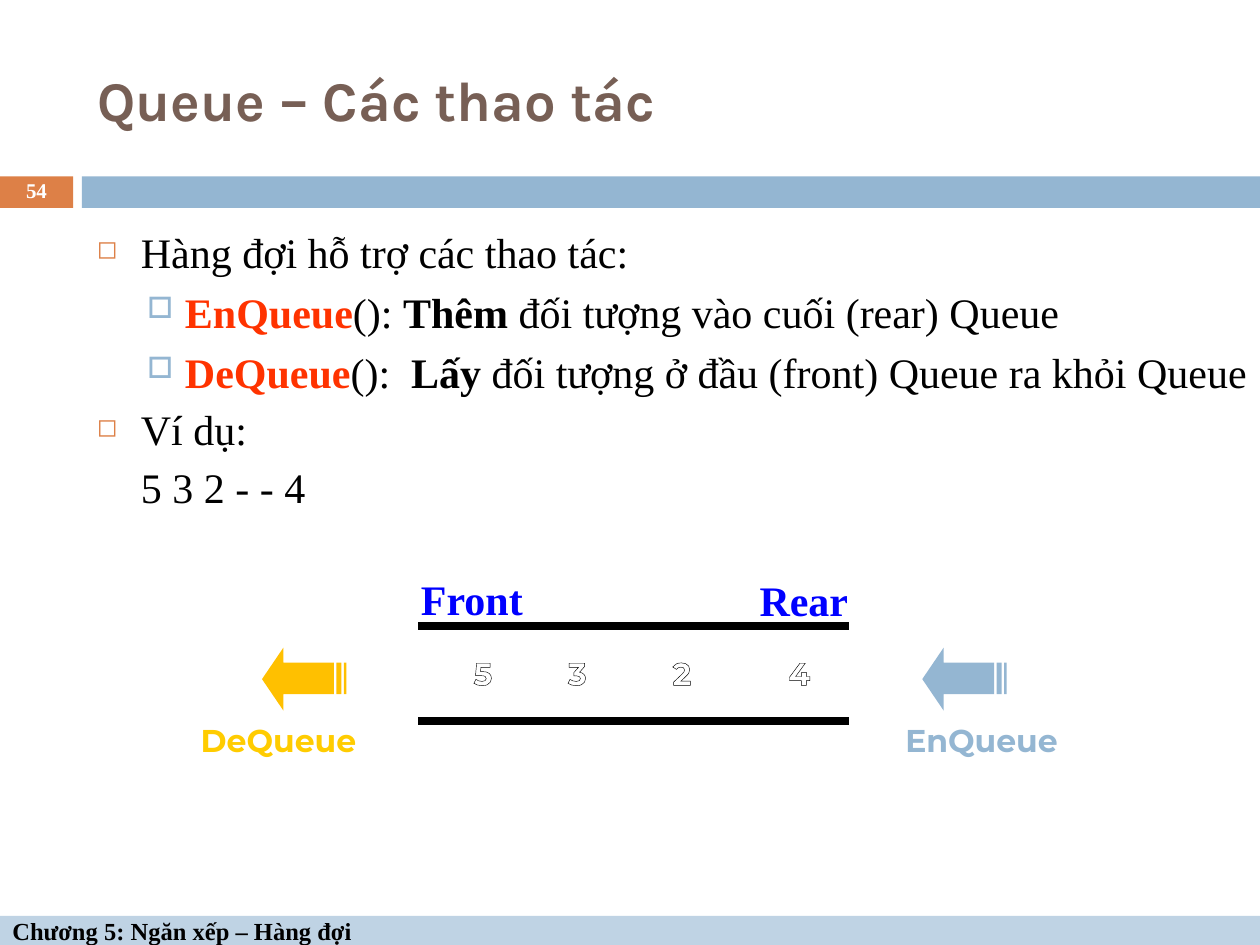
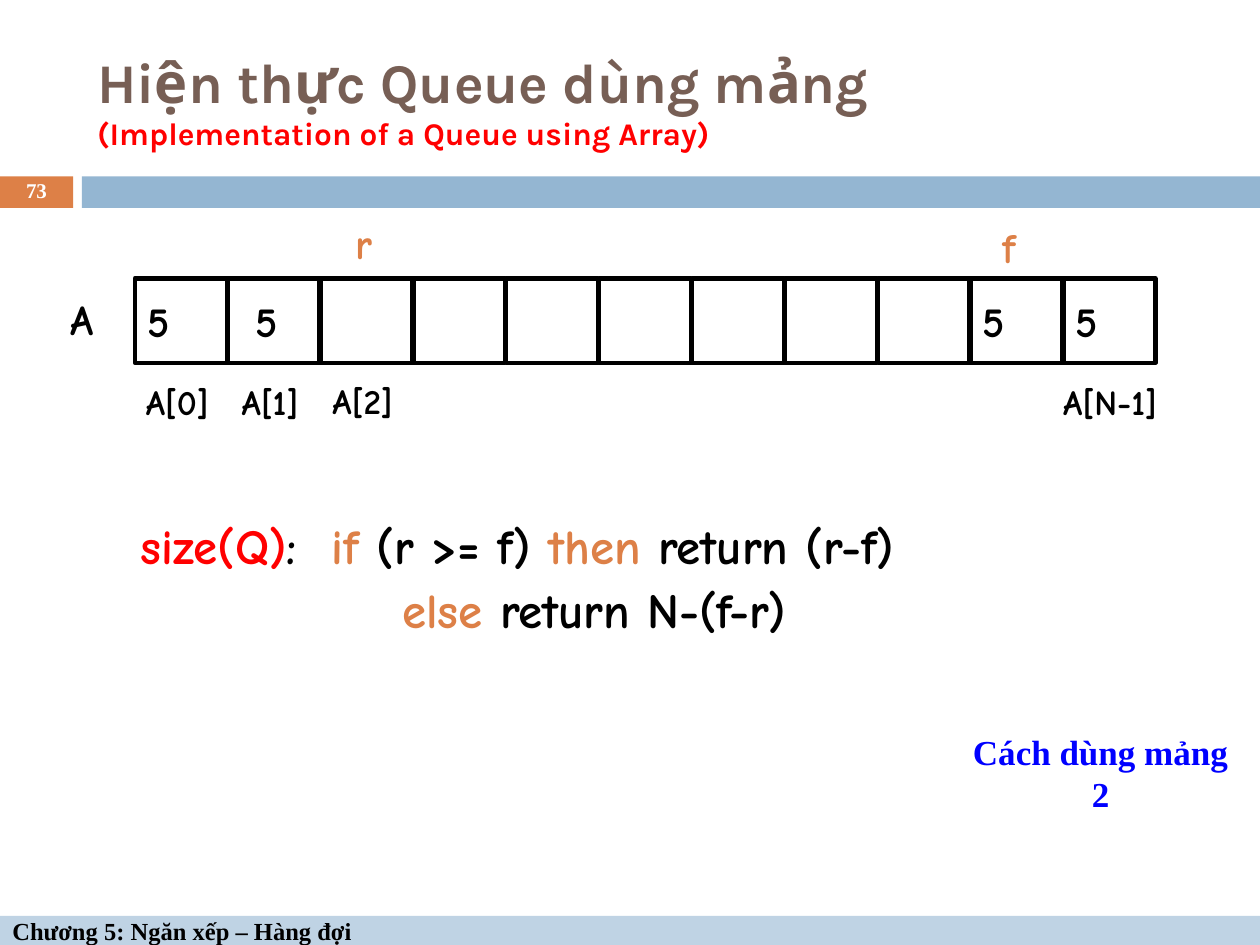
"""Build two lecture slides on queue operations and an array-based queue."""
from lxml import etree
from pptx import Presentation
from pptx.dml.color import RGBColor
from pptx.enum.shapes import MSO_CONNECTOR, MSO_SHAPE
from pptx.enum.text import MSO_ANCHOR, MSO_AUTO_SIZE, PP_ALIGN
from pptx.oxml import parse_xml
from pptx.oxml.ns import nsdecls, qn
from pptx.util import Inches, Pt

BLACK = RGBColor(0x00, 0x00, 0x00)
WHITE = RGBColor(0xFF, 0xFF, 0xFF)
BROWN = RGBColor(0x77, 0x5F, 0x55)
ORANGE = RGBColor(0xDD, 0x80, 0x47)
STEEL = RGBColor(0x94, 0xB6, 0xD2)
PALE = RGBColor(0xBF, 0xD3, 0xE4)
RED = RGBColor(0xFF, 0x00, 0x00)
VERMILION = RGBColor(0xFF, 0x33, 0x00)
BLUE = RGBColor(0x00, 0x00, 0xFF)
AMBER = RGBColor(0xFF, 0xC0, 0x00)
YELLOW = RGBColor(0xFF, 0xCC, 0x00)
SERIF, TITLE_FONT, COMIC, SANS = "Times New Roman", "Karla", "Comic Neue", "Montserrat"


def style(font, name, size, color, bold=True):
    font.name, font.size, font.bold = name, Pt(size), bold
    font.color.rgb = color


def label(slide, box, text, name, size, color, align=PP_ALIGN.LEFT, wrap=True):
    frame = slide.shapes.add_textbox(*map(Inches, box)).text_frame
    frame.word_wrap = wrap
    paragraph = frame.paragraphs[0]
    paragraph.text, paragraph.alignment = text, align
    style(paragraph.font, name, size, color)
    return paragraph


prs = Presentation()
prs.slide_width, prs.slide_height = Inches(10), Inches(7.5)

slides = []
for heading, subtitle, number in [
    ("Queue – Các thao tác", None, "54"),
    ("Hiện thực Queue dùng mảng", "(Implementation of a Queue using Array)", "73"),
]:
    slide = prs.slides.add_slide(prs.slide_layouts[5])
    slides.append(slide)
    for box, color, text in [
        ((0, 1.4, 0.58, 0.25), ORANGE, None),
        ((0.65, 1.4, 9.35, 0.25), STEEL, None),
        ((0, 7.27, 10, 0.23), PALE, "Chương 5: Ngăn xếp – Hàng đợi"),
    ]:
        band = slide.shapes.add_shape(MSO_SHAPE.RECTANGLE, *map(Inches, box))
        band.shadow.inherit = False
        band.fill.solid()
        band.fill.fore_color.rgb = color
        band.line.fill.background()
        if text:
            footer = band.text_frame.paragraphs[0]
            footer.text, footer.alignment = text, PP_ALIGN.LEFT
            style(footer.font, SERIF, 14, BLACK)

    title = slide.shapes.title
    title.left, title.top = Inches(0.67), Inches(0.25)
    title.width, title.height = Inches(8.92), Inches(1.08)
    title.text_frame.auto_size = MSO_AUTO_SIZE.NONE
    title.text_frame.vertical_anchor = MSO_ANCHOR.MIDDLE
    title_line = title.text_frame.paragraphs[0]
    title_line.alignment = PP_ALIGN.LEFT
    style(title_line.font, TITLE_FONT, 32, BROWN)
    title_line.add_run().text = heading
    if subtitle:
        title_line.add_line_break()
        subtitle_run = title_line.add_run()
        subtitle_run.text = subtitle
        style(subtitle_run.font, TITLE_FONT, 18, RED)

    page = label(slide, (0, 1.39, 0.58, 0.27), number, SERIF, 12, WHITE, PP_ALIGN.CENTER)
    page.line_spacing = 0.8
    slide.shapes[-1].text_frame.vertical_anchor = MSO_ANCHOR.MIDDLE

operations, array_queue = slides

body = operations.shapes.add_textbox(Inches(0.67), Inches(1.75), Inches(9.33), Inches(4.92)).text_frame
body.word_wrap = True
LEVELS = [(0.35, -0.35, 7, "◻", "DD8047", 60), (0.7, -0.3, 5.5, "□", "94B6D2", 70)]
body_lines = [
    (0, True, None, [("Hàng đợi hỗ trợ các thao tác:", BLACK, False)]),
    (1, True, None, [("EnQueue", VERMILION, True), ("(): ", BLACK, False), ("Thêm", BLACK, True),
                     (" đối tượng vào cuối (rear) Queue", BLACK, False)]),
    (1, True, None, [("DeQueue", VERMILION, True), ("():  ", BLACK, False), ("Lấy", BLACK, True),
                     (" đối tượng ở đầu (front) Queue ra khỏi Queue", BLACK, False)]),
    (0, True, 0.9, [("Ví dụ:", BLACK, False)]),
    (0, False, 0.9, [("5 3 2 - - 4", BLACK, False)]),
]
for index, (level, bulleted, spacing, runs) in enumerate(body_lines):
    line = body.add_paragraph() if index else body.paragraphs[0]
    margin, indent, before, bullet, bullet_color, percent = LEVELS[level]
    line.level = level
    if index:
        line.space_before = Pt(before)
    if spacing:
        line.line_spacing = spacing
    properties = line._p.get_or_add_pPr()
    properties.set("marL", str(Inches(margin)))
    properties.set("indent", str(Inches(indent if bulleted else 0)))
    if bulleted:
        for markup in [
            f'<a:buClr {nsdecls("a")}><a:srgbClr val="{bullet_color}"/></a:buClr>',
            f'<a:buSzPct {nsdecls("a")} val="{percent * 1000}"/>',
            f'<a:buChar {nsdecls("a")} char="{bullet}"/>',
        ]:
            properties.append(parse_xml(markup))
    line.font.name, line.font.size = SERIF, Pt(24)
    for text, color, bold in runs:
        run = line.add_run()
        run.text, run.font.bold = text, bold
        run.font.color.rgb = color

for y in (4.97, 5.72):
    rail = operations.shapes.add_connector(
        MSO_CONNECTOR.STRAIGHT, Inches(3.32), Inches(y), Inches(6.74), Inches(y))
    rail.line.color.rgb, rail.line.width = BLACK, Pt(4.5)
    etree.SubElement(rail._element.spPr, qn("a:effectLst"))

for text, box in [("Front", (3.24, 4.5, 1.01, 0.5)), ("Rear", (5.93, 4.51, 0.9, 0.5))]:
    label(operations, box, text, SERIF, 24, BLUE, PP_ALIGN.CENTER, False)

for text, box, color in [
    ("5", (3.66, 5.14, 0.25, 0.46), WHITE),
    ("3", (4.41, 5.14, 0.25, 0.46), WHITE),
    ("2", (5.24, 5.14, 0.25, 0.46), WHITE),
    ("4", (6.16, 5.14, 0.25, 0.46), WHITE),
    ("EnQueue", (7, 5.67, 1.58, 0.42), STEEL),
    ("DeQueue", (1.42, 5.67, 1.58, 0.42), YELLOW),
]:
    outlined = label(operations, box, text, SANS, 18, color, PP_ALIGN.CENTER, False).runs[0]
    style(outlined.font, SANS, 18, color)
    outlined._r.get_or_add_rPr().insert(0, parse_xml(
        f'<a:ln {nsdecls("a")} w="{Pt(0.75)}"><a:solidFill><a:srgbClr val="000000"/></a:solidFill></a:ln>'))

ARROW_HEAD = [(17, 50), (17, 37), (57, 37), (57, 12), (17, 12), (17, 0), (0, 25)]
STRIPES = [[(a, 12), (b, 12), (b, 37), (a, 37)] for a, b in ((59, 63), (65, 67))]
for left, color in ((732, STEEL), (208, AMBER)):
    builder = operations.shapes.build_freeform(left + 17, 514 + 50, scale=Inches(0.01))
    for part in [ARROW_HEAD, *STRIPES]:
        points = [(left + x, 514 + y) for x, y in part]
        if part is not ARROW_HEAD:
            builder.move_to(*points[0])
        builder.add_line_segments(points[1:], close=True)
    arrow = builder.convert_to_shape()
    arrow.shadow.inherit = False
    arrow.fill.solid()
    arrow.fill.fore_color.rgb = color
    arrow.line.fill.background()

FIRST_CELL, LAST_CELL, CELLS = 1.07, 8.44, 11
pitch = (LAST_CELL - FIRST_CELL) / (CELLS - 1)
cell_insets = {0: 0.1, 1: 0.22, 9: 0.1, 10: 0.1}
for index in range(CELLS):
    cell = array_queue.shapes.add_shape(
        MSO_SHAPE.RECTANGLE, Inches(FIRST_CELL + index * pitch), Inches(2.21), Inches(0.73), Inches(0.67))
    cell.shadow.inherit = False
    cell.fill.background()
    cell.line.color.rgb, cell.line.width = BLACK, Pt(2.5)
    if index in cell_insets:
        cell.text_frame.margin_left = Inches(cell_insets[index])
        value = cell.text_frame.paragraphs[0]
        value.text, value.alignment = "5", PP_ALIGN.LEFT
        style(value.font, COMIC, 24, BLACK)

for text, box, size, color in [
    ("A", (0.46, 2.28, 0.76, 0.5), 24, BLACK),
    ("r", (2.72, 1.68, 0.72, 0.5), 24, ORANGE),
    ("f", (7.86, 1.71, 0.72, 0.5), 24, ORANGE),
    ("A[0]", (1.06, 2.97, 1.03, 0.44), 20, BLACK),
    ("A[1]", (1.82, 2.97, 0.93, 0.44), 20, BLACK),
    ("A[2]", (2.54, 2.96, 0.88, 0.44), 20, BLACK),
    ("A[N-1]", (8.34, 2.97, 1.54, 0.44), 20, BLACK),
]:
    label(array_queue, box, text, COMIC, size, color)

code = array_queue.shapes.add_textbox(Inches(1.02), Inches(4.04), Inches(7.98), Inches(1.05)).text_frame
code.word_wrap = True
code_lines = [
    [("size(Q)", RED), (":  ", BLACK), ("if", ORANGE), (" (r >= f) ", BLACK),
     ("then", ORANGE), (" return (r-f)", BLACK)],
    [("               else ", ORANGE), ("return N-(f-r)", BLACK)],
]
for index, runs in enumerate(code_lines):
    line = code.add_paragraph() if index else code.paragraphs[0]
    if index:
        line.space_before, line.line_spacing = Pt(17.5), 0.5
    line.font.name, line.font.size, line.font.bold = COMIC, Pt(28), True
    for text, color in runs:
        run = line.add_run()
        run.text = text
        run.font.color.rgb = color

label(array_queue, (7.52, 5.75, 2.43, 0.44), "Cách dùng mảng 2", SERIF, 20, BLUE, PP_ALIGN.CENTER, False)

prs.save("out.pptx")
